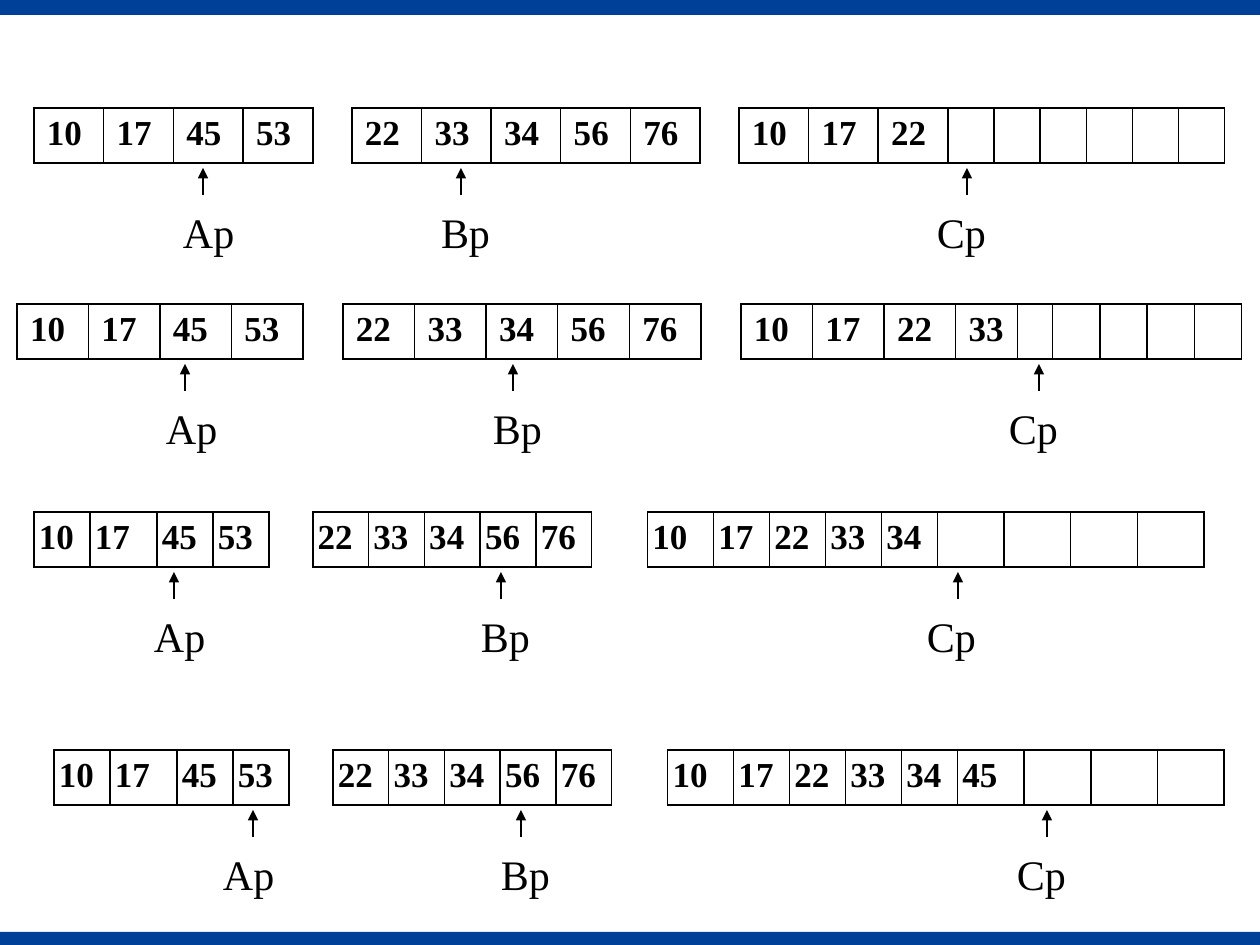
"""Four steps of merging two sorted arrays A and B into C, with their pointers."""
import pptx
import pptx.dml.color
import pptx.enum.shapes
import pptx.enum.text
import pptx.oxml
import pptx.oxml.ns
import pptx.util

PX = 914400 // 126
NS = pptx.oxml.ns.nsdecls("a")
COLORS = {"bar": "004098", "ink": "000000"}
FONT = "Times New Roman"
ROW_H = 55
A = ["10", "17", "45", "53"]
B = ["22", "33", "34", "56", "76"]
C = ["10", "17", "22", "33", "34", "45"]
GAPS = (4, 10)
LABELS = [("Ap", 79), ("Bp", 59), ("Cp", 79)]
NARROW = [(56, 1), (123, 1), (235, 2), (279, 1), (558, 5), (614, 1),
          (680, 1), (904, 4), (1171, 4)]
NARROW_LAST = [(56, 1), (123, 1), (235, 2), (279, 1), (558, 5), (614, 1),
               (680, 1), (904, 4), (1171, 4)][:0] or NARROW

STEPS = [
    dict(left=34, top=108, inset=13, merged=3,
         spans=[(279, 4), (318, 1), (666, 5), (705, 1), (914, 3), (1191, 6)],
         pointers=[(203, 183), (461, 441), (967, 937)]),
    dict(left=17, top=304, inset=13, merged=4,
         spans=[(286, 4), (326, 1), (684, 5), (724, 1), (939, 3), (1001, 1),
                (1036, 1), (1225, 4)],
         pointers=[(185, 166), (513, 493), (1039, 1009)]),
    dict(left=34, top=512, inset=5, merged=5, spans=NARROW,
         pointers=[(174, 154), (501, 481), (958, 927)]),
    dict(left=54, top=750, inset=5, merged=6, spans=NARROW_LAST,
         pointers=[(253, 223), (521, 501), (1047, 1017)]),
]


def set_font(p, size, bold):
    p.font.name = FONT
    p.font.size = pptx.util.Pt(size)
    p.font.bold = bold
    p.font.color.rgb = pptx.dml.color.RGBColor.from_string(COLORS["ink"])


def set_borders(cell, visible):
    tcPr = cell._tc.get_or_add_tcPr()
    for side in "LRTB":
        paint = "<a:noFill/>"
        if side in visible:
            paint = f'<a:solidFill><a:srgbClr val="{COLORS["ink"]}"/></a:solidFill>'
        tcPr.append(pptx.oxml.parse_xml(f'<a:ln{side} {NS} w="12700">{paint}</a:ln{side}>'))


prs = pptx.Presentation()
prs.slide_width = 1260 * PX
prs.slide_height = 945 * PX
s = prs.slides.add_slide(prs.slide_layouts[6])

for top, height in [(932, 13), (0, 15)]:
    sp = s.shapes.add_shape(pptx.enum.shapes.MSO_SHAPE.RECTANGLE,
                            0, top * PX, 1260 * PX, height * PX)
    sp.shadow.inherit = False
    sp.fill.solid()
    sp.fill.fore_color.rgb = pptx.dml.color.RGBColor.from_string(COLORS["bar"])
    sp.line.fill.background()

for step in STEPS:
    left, top = step["left"], step["top"]
    widths = []
    start = 0
    for end, count in step["spans"]:
        widths += [(end - start) * PX // count] * count
        start = end
    values = A + [""] + B + [""] + C[:step["merged"]]
    values += [""] * (len(widths) - len(values))

    table = s.shapes.add_table(1, len(widths), left * PX, top * PX,
                               sum(widths), ROW_H * PX).table
    table.first_row = False
    table.horz_banding = False
    table.rows[0].height = ROW_H * PX
    for i, (width, value) in enumerate(zip(widths, values)):
        table.columns[i].width = width
        cell = table.cell(0, i)
        set_borders(cell, "LR" if i in GAPS else "LRTB")
        cell.fill.background()
        cell.margin_left = cell.margin_right = step["inset"] * PX
        cell.margin_top = cell.margin_bottom = 6 * PX
        p = cell.text_frame.paragraphs[0]
        if value:
            p.text = value
            set_font(p, 20, True)

    for (text, width), (arrow_x, label_x) in zip(LABELS, step["pointers"]):
        arrow = s.shapes.add_connector(pptx.enum.shapes.MSO_CONNECTOR.STRAIGHT,
                                       arrow_x * PX, (top + 87) * PX,
                                       arrow_x * PX, (top + 60) * PX)
        arrow.line.width = pptx.util.Pt(0.75)
        arrow.line.color.rgb = pptx.dml.color.RGBColor.from_string(COLORS["ink"])
        arrow.line._get_or_add_ln().append(
            pptx.oxml.parse_xml(f'<a:tailEnd {NS} type="triangle"/>'))
        arrow._element.spPr.append(pptx.oxml.parse_xml(f"<a:effectLst {NS}/>"))

        tf = s.shapes.add_textbox(label_x * PX, (top + 99) * PX,
                                  width * PX, 49 * PX).text_frame
        tf.word_wrap = True
        tf.margin_left = tf.margin_right = tf.margin_top = tf.margin_bottom = 0
        p = tf.paragraphs[0]
        p.text = text
        p.alignment = pptx.enum.text.PP_ALIGN.JUSTIFY
        set_font(p, 24, False)

prs.save("out.pptx")
